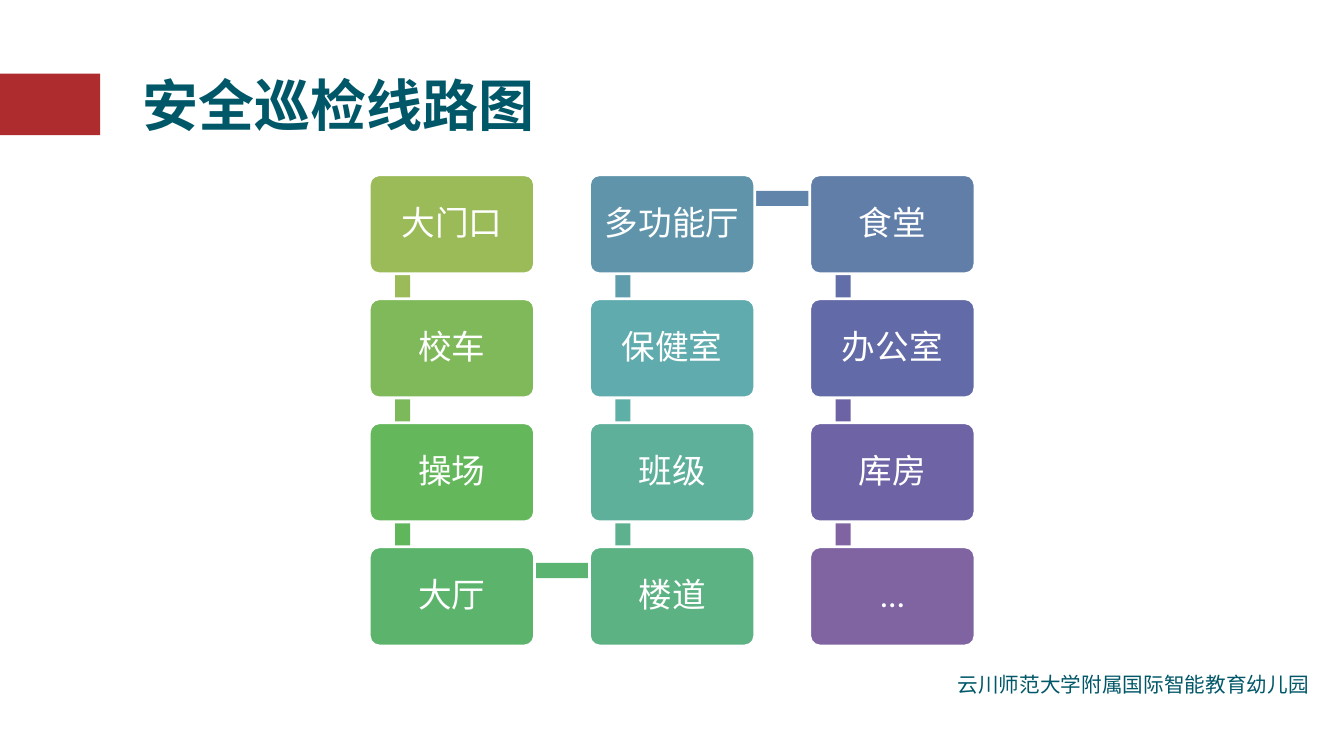
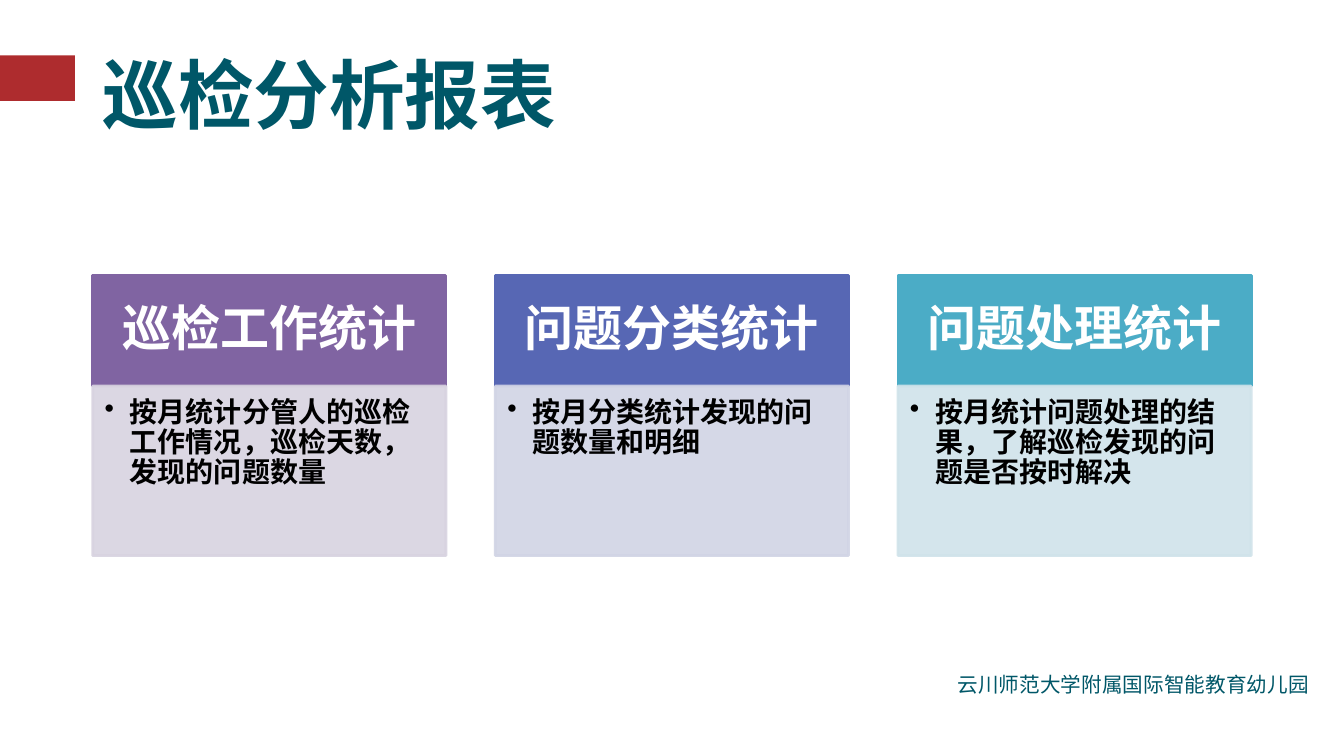
from lxml.etree import SubElement
from pptx import Presentation
from pptx.dml.color import RGBColor
from pptx.enum.shapes import MSO_SHAPE as Preset
from pptx.enum.text import MSO_ANCHOR as Anchor, MSO_AUTO_SIZE as AutoSize, PP_ALIGN as Align
from pptx.oxml.ns import qn
from pptx.util import Pt

TEAL, RED, WHITE, BLACK = "005768", "AE2C2E", "FFFFFF", "000000"
CHINESE, LATIN = "Noto Sans CJK SC", "Calibri"
FOOTER = "云川师范大学附属国际智能教育幼儿园"


def write(shape, text, size, color, font=LATIN, bold=False, align=Align.CENTER,
          anchor=Anchor.MIDDLE, insets=(7.2, 3.6, 7.2, 3.6), spacing=0.9,
          wrap=True, bullet=None):
    frame = shape.text_frame
    frame.auto_size = AutoSize.NONE
    frame.word_wrap = wrap
    frame.vertical_anchor = anchor
    frame.margin_left, frame.margin_top, frame.margin_right, frame.margin_bottom = map(Pt, insets)
    paragraph = frame.paragraphs[0]
    paragraph.alignment = align
    paragraph.line_spacing = spacing
    run = paragraph.add_run()
    run.text = text
    run.font.name = font
    run.font.size = Pt(size)
    run.font.bold = bold
    run.font.color.rgb = RGBColor.from_string(color)
    SubElement(run.font._element, qn("a:ea"), typeface=CHINESE)
    if bullet:
        properties = paragraph._p.get_or_add_pPr()
        properties.set("marL", str(Pt(18)))
        properties.set("indent", str(Pt(-18)))
        SubElement(properties, qn("a:buChar"), char=bullet)


def add_box(slide, left, top, width, height, fill, line=None, preset=Preset.RECTANGLE, opacity=100):
    shape = slide.shapes.add_shape(preset, Pt(left), Pt(top), Pt(width), Pt(height))
    shape.shadow.inherit = False
    shape.fill.solid()
    shape.fill.fore_color.rgb = RGBColor.from_string(fill)
    if line:
        shape.line.color.rgb = RGBColor.from_string(line)
        shape.line.width = Pt(2)
    else:
        shape.line.fill.background()
    if opacity < 100:
        for color in shape.element.spPr.iter(qn("a:srgbClr")):
            SubElement(color, qn("a:alpha"), val=str(opacity * 1000))
    return shape


presentation = Presentation()
presentation.slide_width, presentation.slide_height = Pt(960), Pt(540)

pages = [
    ("安全巡检线路图", 40, (92.2, 29.5, 441.4, 90), (9.6, 5, 9.6, 5), (52.6, 71.5, 44)),
    ("巡检分析报表", 54, (66, 28.8, 828, 75), (7.2, 3.6, 7.2, 3.6), (39.6, 53.5, 32.5)),
]
slides = []
for title, size, place, insets, (band_top, band_width, band_height) in pages:
    slide = presentation.slides.add_slide(presentation.slide_layouts[5])
    heading = slide.shapes.title
    heading.left, heading.top, heading.width, heading.height = map(Pt, place)
    write(heading, title, size, TEAL, font=CHINESE, bold=True, align=Align.LEFT,
          insets=insets, spacing=1.0)
    add_box(slide, 0, band_top, band_width, band_height, RED)
    footer = slide.shapes.add_textbox(Pt(676.8), Pt(476.6), Pt(265.7), Pt(25.2))
    write(footer, FOOTER, 14.7, TEAL, font=CHINESE, align=Align.LEFT,
          anchor=Anchor.TOP, spacing=1.0, wrap=False)
    slides.append(slide)
route_slide, report_slide = slides

stops = [
    ("大门口", "9BBB59", "9BBB59"),
    ("校车", "7FB95A", "7CB95A"),
    ("操场", "64B75B", "5FB65B"),
    ("大厅", "5CB46C", "5CB473"),
    ("楼道", "5DB284", "5DB18E"),
    ("班级", "5EB09B", "5EAFA6"),
    ("保健室", "5FABAE", "5F9DAC"),
    ("多功能厅", "6094AB", "6084AA"),
    ("食堂", "617EA9", "626EA7"),
    ("办公室", "626AA7", "6C63A5"),
    ("库房", "6E63A4", "8064A2"),
    ("…", "8064A2", None),
]
ROWS, COLUMN_STEP, ROW_STEP, LINK = 4, 157.3, 88.6, 10.8
for index, (name, fill, link_fill) in enumerate(stops):
    column, row = divmod(index, ROWS)
    upward = column % 2 == 1
    if upward:
        row = ROWS - 1 - row
    left, top = 263.8 + column * COLUMN_STEP, 124.8 + row * ROW_STEP
    if link_fill and index % ROWS == ROWS - 1:
        add_box(route_slide, left + 24.3, top + 11.5, COLUMN_STEP, LINK, link_fill)
    elif link_fill:
        link_top = top + 17.8 - (ROW_STEP if upward else 0)
        add_box(route_slide, left + 18.4, link_top, LINK, ROW_STEP, link_fill)
    stop = add_box(route_slide, left, top, 118, 70.8, fill, WHITE, Preset.ROUNDED_RECTANGLE)
    stop.adjustments[0] = 0.1
    write(stop, name, 24, WHITE, insets=(8, 8, 8, 8))

reports = [
    ("巡检工作统计", "8064A2", "D8D3E0", "按月统计分管人的巡检工作情况，巡检天数，发现的问题数量"),
    ("问题分类统计", "5767B4", "D1D4E5", "按月分类统计发现的问题数量和明细"),
    ("问题处理统计", "4BACC6", "D0E3EA", "按月统计问题处理的结果，了解巡检发现的问题是否按时解决"),
]
for index, (name, fill, tint, detail) in enumerate(reports):
    left = 66.2 + index * 287.6
    header = add_box(report_slide, left, 196.6, 252.3, 79.2, fill, fill)
    write(header, name, 35, WHITE, bold=True, insets=(19.4, 11.5, 19.4, 11.5))
    body = add_box(report_slide, left, 275.8, 252.3, 121, tint, tint, opacity=90)
    write(body, detail, 20, BLACK, bold=True, align=Align.LEFT, anchor=Anchor.TOP,
          insets=(8.6, 8.6, 11.5, 12.2), bullet="•")

presentation.save("out.pptx")
